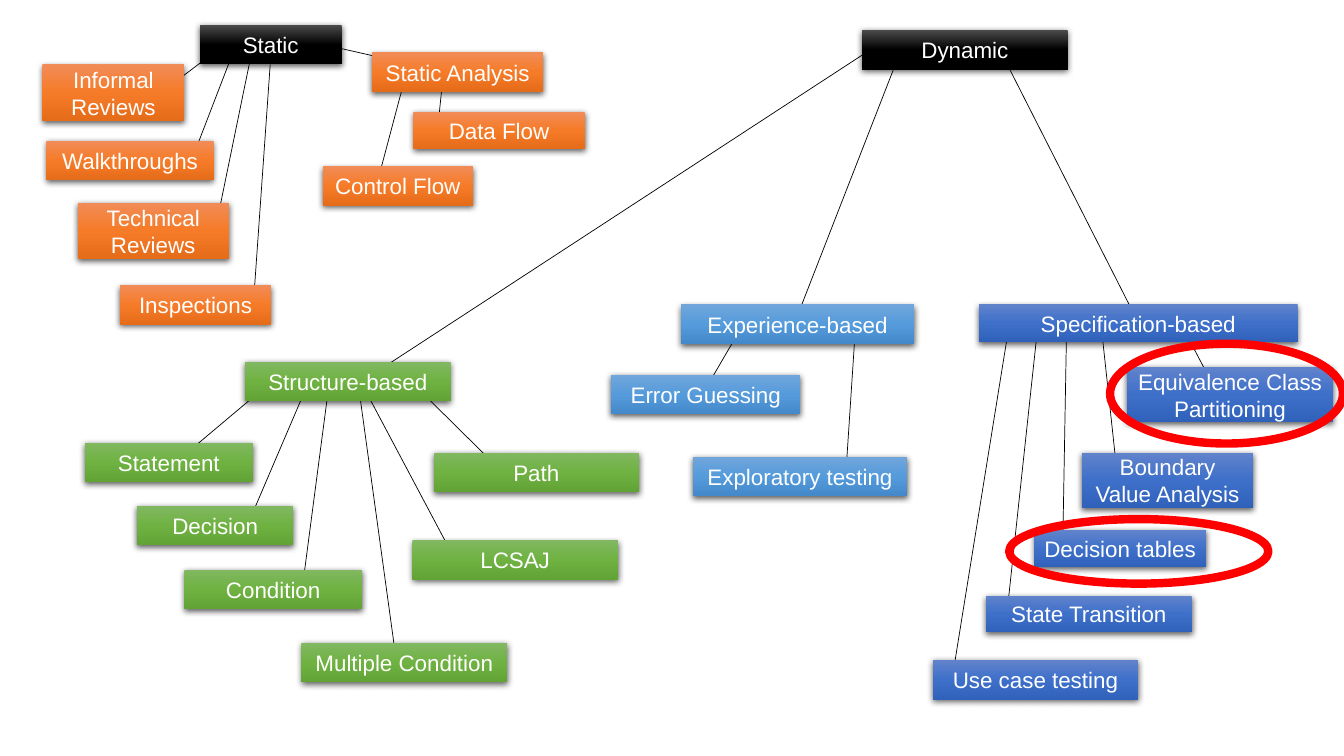
from lxml import etree
from pptx import Presentation
from pptx.dml.color import RGBColor
from pptx.enum.shapes import MSO_CONNECTOR, MSO_SHAPE
from pptx.enum.text import MSO_ANCHOR, PP_ALIGN
from pptx.oxml import parse_xml
from pptx.oxml.ns import qn
from pptx.util import Inches, Pt

BLACK = RGBColor(0x00, 0x00, 0x00)
WHITE = RGBColor(0xFF, 0xFF, 0xFF)
RED = RGBColor(0xFF, 0x00, 0x00)

# Gradient colours of each family: top, middle, bottom
ROOT = (RGBColor(0x4B, 0x4B, 0x4B), BLACK, BLACK)
ORANGE = (RGBColor(0xF1, 0x8C, 0x57), RGBColor(0xF6, 0x7B, 0x28), RGBColor(0xE5, 0x6C, 0x19))
SKY = (RGBColor(0x71, 0xA6, 0xDB), RGBColor(0x55, 0x9B, 0xDB), RGBColor(0x44, 0x8A, 0xCA))
BLUE = (RGBColor(0x61, 0x83, 0xCB), RGBColor(0x3E, 0x70, 0xCA), RGBColor(0x30, 0x62, 0xBB))
GREEN = (RGBColor(0x81, 0xB8, 0x61), RGBColor(0x6F, 0xB2, 0x42), RGBColor(0x62, 0xA3, 0x36))

# Techniques by family: text, left, top, width, height
TECHNIQUES = [
    (ORANGE, [
        ("Informal\nReviews", 0.42, 0.64, 1.41, 0.56),
        ("Walkthroughs", 0.46, 1.4, 1.66, 0.39),
        ("Technical Reviews", 0.77, 2.01, 1.5, 0.56),
        ("Inspections", 1.19, 2.83, 1.5, 0.39),
        ("Static Analysis", 3.69, 0.52, 1.7, 0.39),
        ("Data Flow", 4.1, 1.11, 1.7, 0.37),
        ("Control Flow", 3.2, 1.65, 1.49, 0.39),
    ]),
    (SKY, [
        ("Error Guessing", 6.06, 3.72, 1.88, 0.39),
        ("Experience-based", 6.75, 3.02, 2.32, 0.39),
        ("Exploratory testing", 6.87, 4.53, 2.13, 0.39),
    ]),
    (BLUE, [
        ("Specification-based", 9.71, 3.02, 3.16, 0.37),
        ("Equivalence Class Partitioning", 11.18, 3.64, 2.04, 0.55),
        ("Boundary Value Analysis", 10.73, 4.49, 1.7, 0.55),
        ("Decision tables", 10.26, 5.26, 1.7, 0.37),
        ("State Transition", 9.78, 5.91, 2.04, 0.36),
        ("Use case testing", 9.25, 6.55, 2.04, 0.39),
    ]),
    (GREEN, [
        ("Structure-based", 2.43, 3.59, 2.04, 0.39),
        ("Statement", 0.84, 4.39, 1.67, 0.39),
        ("Decision", 1.36, 5.02, 1.55, 0.39),
        ("Condition", 1.83, 5.65, 1.76, 0.39),
        ("Multiple Condition", 2.99, 6.38, 2.04, 0.39),
        ("Path", 4.3, 4.49, 2.04, 0.39),
        ("LCSAJ", 4.09, 5.36, 2.04, 0.39),
    ]),
    (ROOT, [
        ("Static", 1.98, 0.25, 1.41, 0.39),
        ("Dynamic", 8.55, 0.3, 2.04, 0.39),
    ]),
]

# Branches: start x, start y, end x, end y
BRANCHES = [
    # Experience-based
    (7.3, 3.34, 6.88, 4.06), (8.49, 3.17, 8.39, 4.69),
    # Specification-based
    (10.01, 3.22, 9.47, 6.57), (10.3, 3.17, 9.98, 6.15), (10.58, 3.17, 10.54, 5.45),
    (10.93, 3.31, 11.08, 4.7), (11.7, 3.19, 12.11, 3.97),
    # Dynamic
    (8.73, 0.43, 3.81, 3.64), (8.9, 0.59, 7.84, 3.31), (9.99, 0.64, 11.29, 3.2),
    # Structure-based
    (2.63, 3.84, 1.81, 4.53), (3.04, 3.84, 2.48, 5.15), (3.26, 3.84, 3.02, 5.67),
    (3.56, 3.86, 3.93, 6.55), (3.59, 3.81, 4.46, 5.45), (4.03, 3.74, 4.99, 4.69),
    # Static and Static Analysis
    (3.2, 0.44, 4.3, 0.69), (4.39, 0.8, 4.34, 1.29), (4.01, 0.8, 3.75, 1.78),
    (2.23, 0.44, 1.57, 0.94), (2.3, 0.55, 1.9, 1.59), (2.49, 0.55, 2.17, 2.11),
    (2.68, 0.64, 2.52, 2.92),
]

# Red rings: left, top, width, height
HIGHLIGHTS = [(11.01, 3.41, 2.31, 0.99), (10.01, 5.15, 2.57, 0.64)]

NAMESPACE = 'xmlns:a="http://schemas.openxmlformats.org/drawingml/2006/main"'
SHADOW = (
    f'<a:effectLst {NAMESPACE}><a:outerShdw blurRad="{Pt(4.5)}" dist="{Pt(1.5)}" dir="5400000"'
    ' algn="ctr" rotWithShape="0"><a:srgbClr val="000000"><a:alpha val="63000"/></a:srgbClr>'
    '</a:outerShdw></a:effectLst>'
)


def add_branch(slide, ends):
    line = slide.shapes.add_connector(MSO_CONNECTOR.STRAIGHT, *map(Inches, ends))
    line.line.color.rgb = BLACK
    line.line.width = Pt(0.5)
    etree.SubElement(line._element.spPr, qn("a:effectLst"))


def add_technique(slide, text, place, colours):
    shape = slide.shapes.add_shape(MSO_SHAPE.RECTANGLE, *map(Inches, place))
    shape.line.fill.background()

    # Vertical gradient and soft shadow
    stops = "".join(
        f'<a:gs pos="{position}"><a:srgbClr val="{colour}"/></a:gs>'
        for position, colour in zip((0, 50000, 100000), colours)
    )
    properties = shape._element.spPr
    properties.find(qn("a:prstGeom")).addnext(parse_xml(
        f'<a:gradFill {NAMESPACE} rotWithShape="1"><a:gsLst>{stops}</a:gsLst>'
        '<a:lin ang="5400000" scaled="0"/></a:gradFill>'
    ))
    properties.append(parse_xml(SHADOW))

    # Label
    text_frame = shape.text_frame
    text_frame.word_wrap = True
    text_frame.vertical_anchor = MSO_ANCHOR.MIDDLE
    text_frame.margin_left = text_frame.margin_right = Inches(0.09)
    text_frame.text = text
    for paragraph in text_frame.paragraphs:
        paragraph.alignment = PP_ALIGN.CENTER
        for run in paragraph.runs:
            run.font.name = "Arial"
            run.font.size = Pt(16)
            run.font.color.rgb = WHITE


def add_highlight(slide, place):
    ring = slide.shapes.add_shape(MSO_SHAPE.OVAL, *map(Inches, place))
    ring.shadow.inherit = False
    ring.fill.background()
    ring.line.color.rgb = RED
    ring.line.width = Pt(6)


def main():
    presentation = Presentation()
    presentation.slide_width = Inches(13.33)
    presentation.slide_height = Inches(7.5)
    slide = presentation.slides.add_slide(presentation.slide_layouts[6])

    for ends in BRANCHES:
        add_branch(slide, ends)
    for colours, family in TECHNIQUES:
        for text, *place in family:
            add_technique(slide, text, place, colours)
    for place in HIGHLIGHTS:
        add_highlight(slide, place)

    presentation.save("out.pptx")


if __name__ == "__main__":
    main()
